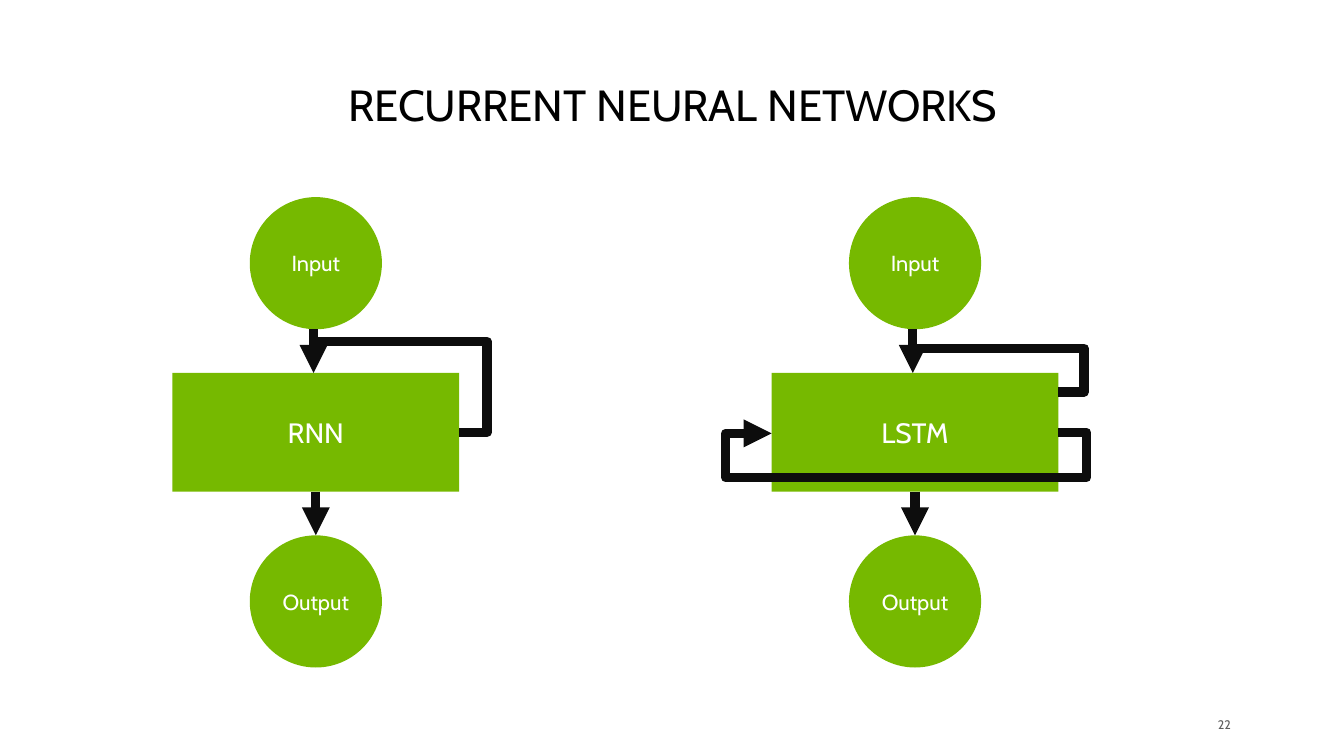
import pptx
import pptx.util
import pptx.dml.color
import pptx.enum.shapes
import pptx.enum.text
import pptx.oxml
import pptx.oxml.ns
from pptx.util import Inches

COLORS = {"green": "76B900", "line": "0D0D0D", "white": "FFFFFF", "title": "000000", "number": "5E5E5E"}
SHAPES = pptx.enum.shapes.MSO_SHAPE
CONNECTORS = pptx.enum.shapes.MSO_CONNECTOR
ALIGN = pptx.enum.text.PP_ALIGN
ANCHOR = pptx.enum.text.MSO_ANCHOR
CIRCLE = 1.18
GAP = 0.39


def rgb(name):
    """Return the named colour."""
    return pptx.dml.color.RGBColor.from_string(COLORS[name])


def write(shape, text, size, color, align=ALIGN.CENTER, anchor=ANCHOR.MIDDLE):
    """Fill a shape with one styled paragraph and return the paragraph."""
    frame = shape.text_frame
    frame.word_wrap = True
    frame.vertical_anchor = anchor
    paragraph = frame.paragraphs[0]
    paragraph.text = text
    paragraph.alignment = align
    paragraph.font.name = "Cabin"
    paragraph.font.size = pptx.util.Pt(size)
    paragraph.font.color.rgb = rgb(color)
    return paragraph


def add_node(slide, kind, box, text, size):
    """Add a green labelled node in the given box."""
    shape = slide.shapes.add_shape(kind, *map(Inches, box))
    shape.shadow.inherit = False
    shape.fill.solid()
    shape.fill.fore_color.rgb = rgb("green")
    shape.line.fill.background()
    write(shape, text, size, "white")
    return shape


def add_line(slide, kind, start, end, arrow=True):
    """Add a thick connector with round joins and an optional arrowhead."""
    connector = slide.shapes.add_connector(kind, *map(Inches, (*start, *end)))
    connector.line.color.rgb = rgb("line")
    connector.line.width = pptx.util.Pt(6)
    line = connector.line._get_or_add_ln()
    pptx.oxml.ns.qn("a:round")
    line.append(pptx.oxml.parse_xml(f"<a:round {pptx.oxml.ns.nsdecls('a')}/>"))
    if arrow:
        line.append(pptx.oxml.parse_xml(f'<a:tailEnd {pptx.oxml.ns.nsdecls("a")} type="triangle"/>'))
    connector._element.spPr.append(pptx.oxml.parse_xml(f"<a:effectLst {pptx.oxml.ns.nsdecls('a')}/>"))
    return connector


def add_loop(slide, start, end, bends, arrow=False):
    """Add an elbow connector whose bends alternate between x and y positions."""
    connector = add_line(slide, CONNECTORS.ELBOW, start, end, arrow)
    geometry = connector._element.spPr.find(pptx.oxml.ns.qn("a:prstGeom"))
    geometry.set("prst", f"bentConnector{len(bends) + 2}")
    guides = geometry.get_or_add_avLst()
    for index, bend in enumerate(bends):
        axis = index % 2
        ratio = round((bend - start[axis]) / (end[axis] - start[axis]) * 100000)
        name = f"adj{index + 1}" if len(bends) > 1 else "adj1"
        guides.append(pptx.oxml.parse_xml(
            f'<a:gd {pptx.oxml.ns.nsdecls("a")} name="{name}" fmla="val {ratio}"/>'))


def add_network(slide, box, name):
    """Add a cell with its input above and its output below."""
    left, top, width, height = box
    center = left + width / 2
    circle_left = center - CIRCLE / 2
    bottom = top + height
    cell = add_node(slide, SHAPES.RECTANGLE, box, name, 18)
    add_node(slide, SHAPES.OVAL, (circle_left, top - GAP - CIRCLE, CIRCLE, CIRCLE), "Input", 14)
    output = add_node(slide, SHAPES.OVAL, (circle_left, bottom + GAP, CIRCLE, CIRCLE), "Output", 14)
    arrow = add_line(slide, CONNECTORS.STRAIGHT, (center, bottom), (center, bottom + GAP))
    arrow.begin_connect(cell, 2)
    arrow.end_connect(output, 0)
    add_line(slide, CONNECTORS.STRAIGHT, (center - 0.02, top - GAP), (center - 0.02, top))


def add_rnn(slide, box):
    """Add the RNN with its single feedback loop."""
    left, top, width, height = box
    right = left + width
    add_network(slide, box, "RNN")
    add_loop(slide, (right, top + height / 2), (left + width / 2, top - 0.28), [right + 0.25])


def add_lstm(slide, box):
    """Add the LSTM with its feedback loop and its loop across the cell."""
    left, top, width, height = box
    right = left + width
    middle = top + height / 2
    add_network(slide, box, "LSTM")
    add_loop(slide, (right, top + 0.17), (left + width / 2, top - 0.22), [right + 0.23])
    add_loop(slide, (right, middle), (left, middle + 0.01),
             [right + 0.25, middle + 0.41, left - 0.41], arrow=True)


def add_title(slide, box):
    """Add the slide title."""
    shape = slide.shapes.add_textbox(*map(Inches, box))
    paragraph = write(shape, "RECURRENT NEURAL NETWORKS", 28, "title", anchor=ANCHOR.BOTTOM)
    paragraph.line_spacing = 0.9


def add_page_number(slide, box):
    """Add the page number."""
    shape = slide.shapes.add_textbox(*map(Inches, box))
    frame = shape.text_frame
    frame.margin_left = frame.margin_top = frame.margin_right = frame.margin_bottom = 0
    write(shape, "22", 8, "number", align=ALIGN.RIGHT)


def main():
    """Build and save the slide."""
    presentation = pptx.Presentation()
    presentation.slide_width = Inches(12)
    presentation.slide_height = Inches(6.75)
    slide = presentation.slides.add_slide(presentation.slide_layouts[6])
    add_page_number(slide, (10.68, 6.38, 0.31, 0.18))
    add_title(slide, (0.55, 0.57, 10.91, 0.65))
    add_rnn(slide, (1.54, 3.33, 2.56, 1.06))
    add_lstm(slide, (6.89, 3.33, 2.56, 1.06))
    presentation.save("out.pptx")


if __name__ == "__main__":
    main()
